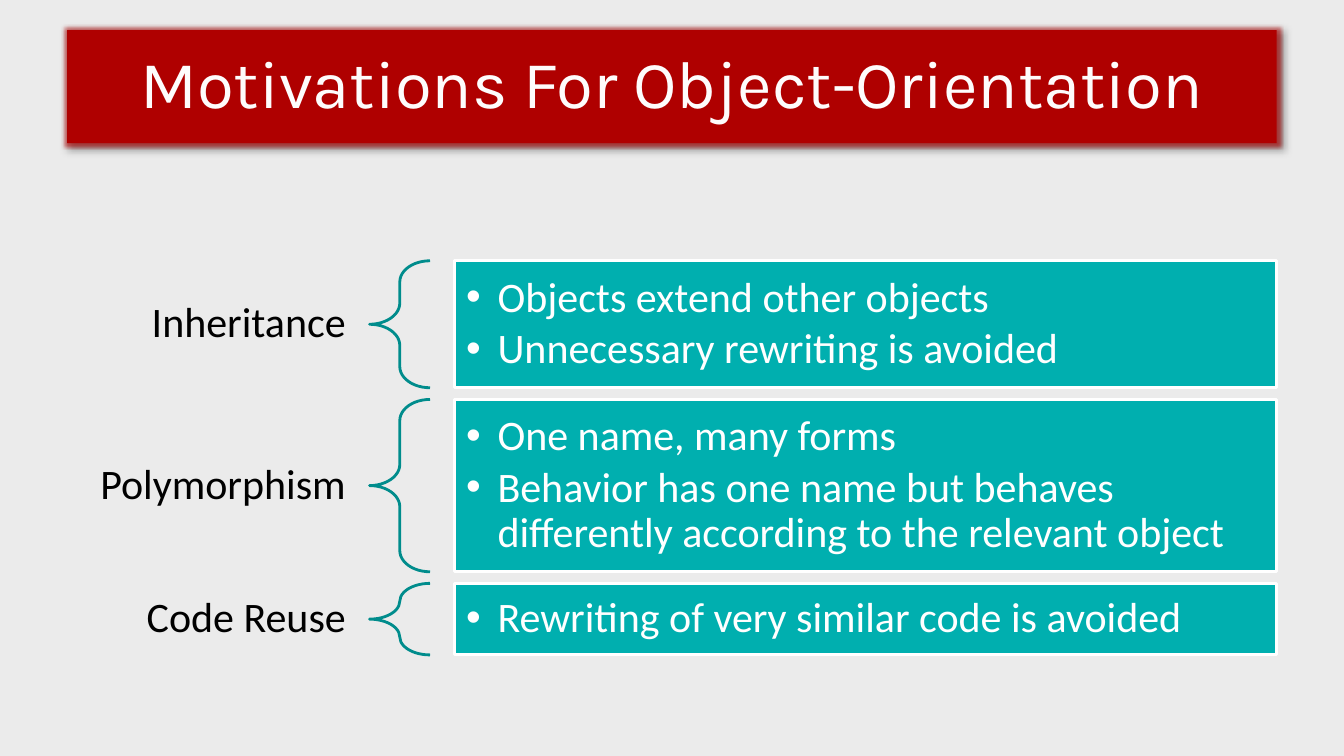
from lxml import etree
from pptx import Presentation
from pptx.dml.color import RGBColor
from pptx.enum.shapes import MSO_SHAPE
from pptx.enum.text import MSO_ANCHOR, MSO_AUTO_SIZE, PP_ALIGN
from pptx.oxml import parse_xml
from pptx.oxml.ns import qn
from pptx.util import Pt

BRACE = MSO_SHAPE.LEFT_BRACE
MIDDLE = MSO_ANCHOR.MIDDLE
FIXED = MSO_AUTO_SIZE.NONE
LEFT, CENTER, RIGHT = PP_ALIGN.LEFT, PP_ALIGN.CENTER, PP_ALIGN.RIGHT

GRAY = RGBColor(0xEB, 0xEB, 0xEB)
RED = RGBColor(0xAF, 0x00, 0x00)
CREAM = RGBColor(0xFE, 0xFC, 0xFC)
TEAL = RGBColor(0x00, 0xAF, 0xAF)
DARK = RGBColor(0x00, 0x8C, 0x8C)
WHITE = RGBColor(0xFF, 0xFF, 0xFF)
BLACK = RGBColor(0x00, 0x00, 0x00)

GLOW = (
    '<a:effectLst xmlns:a="http://schemas.openxmlformats.org/drawingml/2006/main">'
    '<a:glow rad="63500"><a:srgbClr val="AF0000"><a:alpha val="60000"/></a:srgbClr></a:glow>'
    '<a:outerShdw blurRad="50800" dist="38100" dir="2700000" algn="tl">'
    '<a:srgbClr val="000000"><a:alpha val="40000"/></a:srgbClr></a:outerShdw>'
    '</a:effectLst>'
)

EDGE = 48
GAP = 8.3
TOPICS = [
    ("Inheritance", 90.7,
     ["Objects extend other objects", "Unnecessary rewriting is avoided"]),
    ("Polymorphism", 123.1,
     ["One name, many forms",
      "Behavior has one name but behaves differently according to the relevant object"]),
    ("Code Reuse", 51.1, ["Rewriting of very similar code is avoided"]),
]


class Deck:
    """Holds the text style and the current slide."""

    def __init__(self, slide, font, size):
        self.slide = slide
        self.font = font
        self.size = size
        fill = slide.background.fill
        fill.solid()
        fill.fore_color.rgb = GRAY

    def place(self, shape, x, y, w, h):
        shape.left, shape.top = Pt(x), Pt(y)
        shape.width, shape.height = Pt(w), Pt(h)

    def paint(self, shape, color):
        shape.fill.solid()
        shape.fill.fore_color.rgb = color

    def frame(self, shape, side, edge, wrap=True):
        frame = shape.text_frame
        frame.auto_size = FIXED
        frame.word_wrap = wrap
        frame.vertical_anchor = MIDDLE
        frame.margin_left = frame.margin_right = Pt(side)
        frame.margin_top = frame.margin_bottom = Pt(edge)
        return frame

    def style(self, para, color, align, after=0, font=None, size=None):
        para.alignment = align
        para.line_spacing = 0.9
        para.space_before = Pt(0)
        para.space_after = Pt(after)
        for run in para.runs:
            run.font.name = font or self.font
            run.font.size = Pt(size or self.size)
            run.font.bold = False
            run.font.color.rgb = color

    def title(self, text, x, y, w, h):
        shape = self.slide.shapes.title
        self.place(shape, x, y, w, h)
        self.paint(shape, RED)
        shape.line.fill.background()
        shape.element.spPr.append(parse_xml(GLOW))
        frame = self.frame(shape, 7.2, 3.6, False)
        frame.text = text
        self.style(frame.paragraphs[0], CREAM, CENTER, font="Karla", size=48)

    def label(self, text, x, y, w, h):
        shape = self.slide.shapes.add_textbox(Pt(x), Pt(y), Pt(w), Pt(h))
        frame = self.frame(shape, 16.8, 6)
        frame.text = text
        self.style(frame.paragraphs[0], BLACK, RIGHT)

    def brace(self, x, y, w, h):
        shape = self.slide.shapes.add_shape(BRACE, Pt(x), Pt(y), Pt(w), Pt(h))
        shape.adjustments[0] = 0.35
        shape.adjustments[1] = 0.5
        shape.fill.background()
        shape.line.color.rgb = DARK
        shape.line.width = Pt(2)
        shape.shadow.inherit = False

    def panel(self, shape, items, x, y, w, h):
        self.place(shape, x, y, w, h)
        self.paint(shape, TEAL)
        shape.line.color.rgb = WHITE
        shape.line.width = Pt(2)
        frame = self.frame(shape, 8.4, 8.4)
        frame.text = "\n".join(items)
        for para in frame.paragraphs:
            self.style(para, WHITE, LEFT, after=4.5)
            self.bullet(para, 22.5)

    def bullet(self, para, dent):
        props = para._p.get_or_add_pPr()
        props.set("marL", str(Pt(dent)))
        props.set("indent", str(-Pt(dent)))
        etree.SubElement(props, qn("a:buFont")).set("typeface", "Arial")
        etree.SubElement(props, qn("a:buChar")).set("char", "•")


def main():
    prs = Presentation()
    prs.slide_width, prs.slide_height = Pt(960), Pt(540)
    slide = prs.slides.add_slide(prs.slide_layouts[4])
    deck = Deck(slide, "Calibri", 30)
    deck.title("Motivations For Object-Orientation", EDGE, 21.6, 864, 80.6)

    bodies = [item for item in slide.placeholders
              if 1 <= item.placeholder_format.idx <= 4]
    top = 186.3
    for body, (name, high, items) in zip(bodies, TOPICS):
        deck.label(name, EDGE, top + high / 2 - 23.4, 216, 46.8)
        deck.brace(264, top, 43.2, high)
        deck.panel(body, items, 324.5, top, 587.5, high)
        top += high + GAP

    for spare in bodies[len(TOPICS):]:
        spare.element.getparent().remove(spare.element)
    prs.save("out.pptx")


if __name__ == "__main__":
    main()
